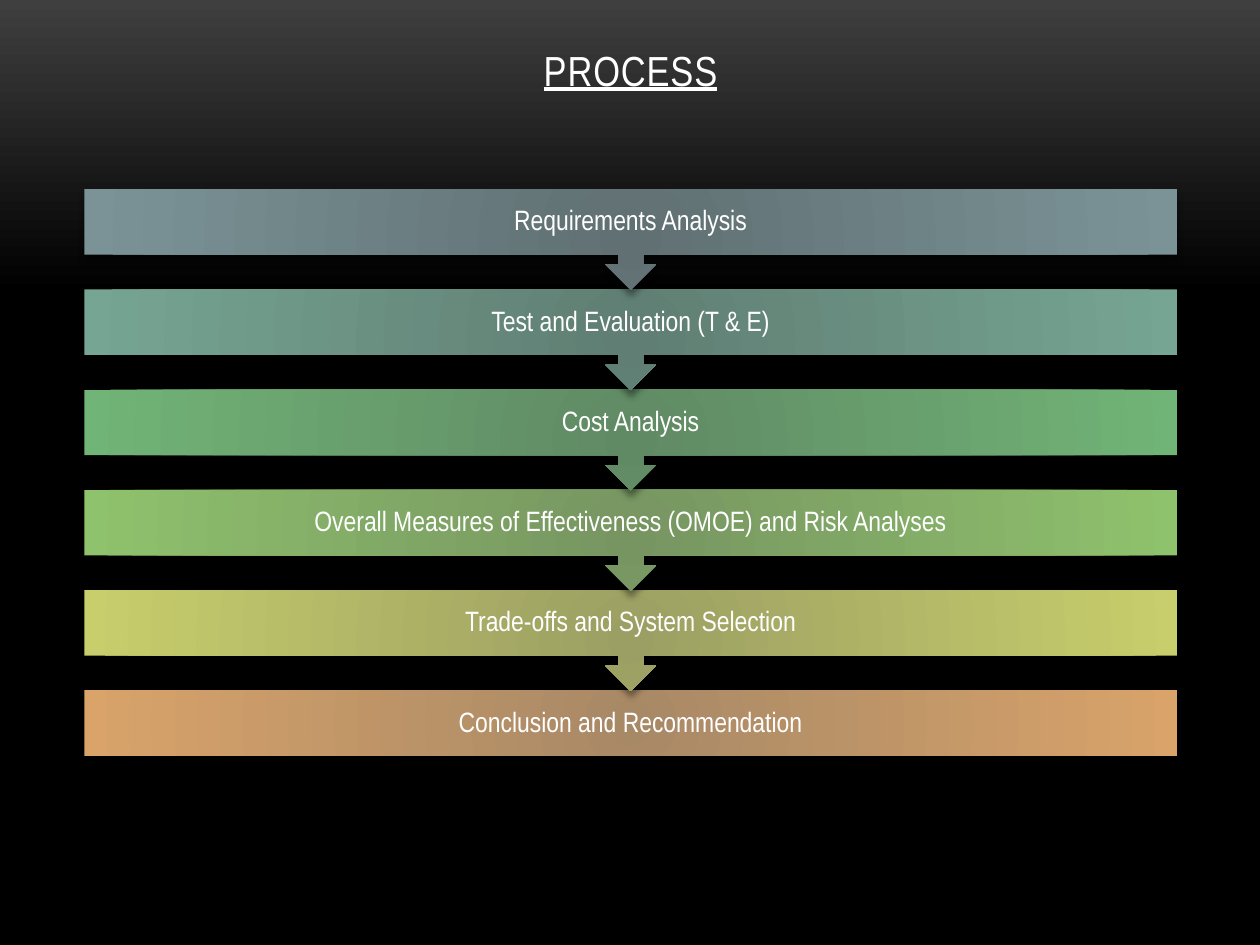
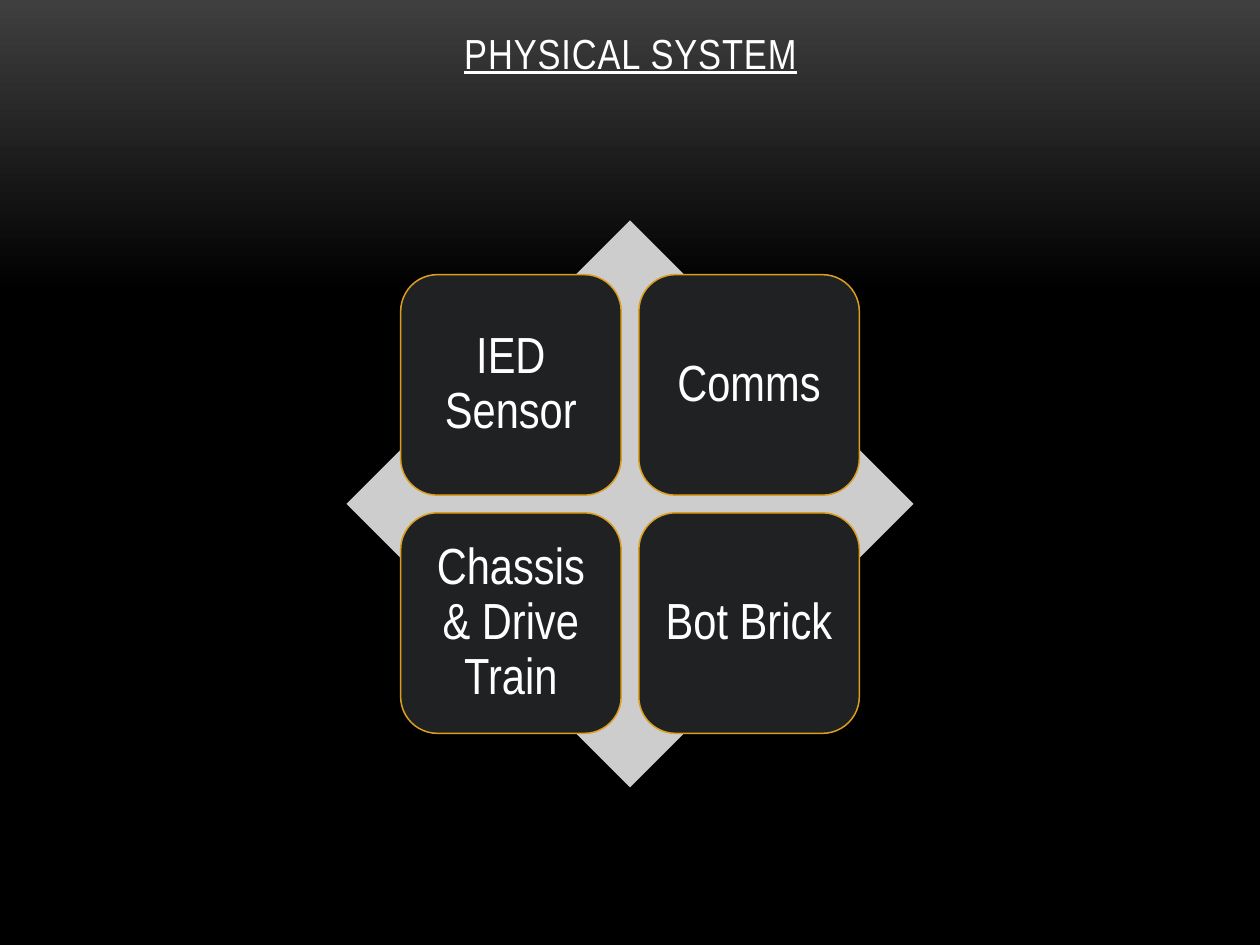
"""Builds two dark slides: the process steps and the physical system."""
from lxml import etree
from pptx import Presentation
from pptx.dml.color import RGBColor as RGB
from pptx.enum.shapes import MSO_SHAPE as Kind
from pptx.enum.text import MSO_ANCHOR as Anchor, PP_ALIGN as Align
from pptx.oxml import parse_xml
from pptx.oxml.ns import nsdecls, qn
from pptx.util import Inches, Pt

HUES = {
    "white": "FFFFFF", "black": "000000", "smoke": "3F3F3F",
    "diamond": "CDCDCD", "tile": "1F2123", "edge": "DC9E1F",
}
FONT = "Arial Narrow"
LEFT, WIDE = 0.67, 8.67


def write(slide, text, box, size, inset):
    frame = slide.shapes.add_textbox(*map(Inches, box)).text_frame
    frame.text = text
    frame.word_wrap = True
    frame.margin_left = frame.margin_right = Inches(inset)
    frame.margin_top = frame.margin_bottom = Inches(inset)
    frame.vertical_anchor = Anchor.MIDDLE
    para = frame.paragraphs[0]
    para.alignment = Align.CENTER
    para.line_spacing = 0.9
    font = para.runs[0].font
    font.name, font.size = FONT, Pt(size)
    font.color.rgb = RGB.from_string(HUES["white"])
    return frame


def blend(node, stops, way):
    marks = "".join(
        f'<a:gs pos="{at * 1000}"><a:srgbClr val="{hue}"/></a:gs>' for at, hue in stops)
    old = node.find(".//" + qn("a:solidFill"))
    old.getparent().replace(old, parse_xml(
        f'<a:gradFill {nsdecls("a")} rotWithShape="1"><a:gsLst>{marks}</a:gsLst>{way}</a:gradFill>'))


deck = Presentation()
deck.slide_width, deck.slide_height = Inches(10), Inches(7.5)

pages = []
for name, top, high in [("PROCESS", 0.3, 1.25), ("PHYSICAL SYSTEM", 0.17, 0.88)]:
    page = deck.slides.add_slide(deck.slide_layouts[6])
    page.background.fill.solid()
    blend(page.element, [(0, HUES["smoke"]), (31, HUES["black"]), (100, HUES["black"])],
          '<a:lin ang="5400000" scaled="0"/>')
    head = write(page, name, (LEFT, top, WIDE, high), 24, 0.05)
    head.vertical_anchor = Anchor.TOP
    head.paragraphs[0].line_spacing = 1.0
    font = head.paragraphs[0].runs[0].font
    font.underline = True
    head.paragraphs[0].runs[0].font._element.set("spc", "50")
    pages.append(page)
flow, system = pages

steps = [
    ("Requirements Analysis", "607073", "7B9397"),
    ("Test and Evaluation (T & E)", "607E73", "76A593"),
    ("Cost Analysis", "608A64", "71B477"),
    ("Overall Measures of Effectiveness (OMOE) and Risk Analyses", "779561", "8FC26D"),
    ("Trade-offs and System Selection", "9B9F63", "C8CE6B"),
    ("Conclusion and Recommendation", "A88966", "D9A36A"),
]
last = len(steps) - 1
first, pitch, bar = 1.5, 3.98 / last, 0.52
for row, (label, core, rim) in reversed(list(enumerate(steps))):
    top = first + row * pitch
    kind, high = (Kind.RECTANGLE, bar) if row == last else (Kind.UP_ARROW_CALLOUT, 0.8)
    step = flow.shapes.add_shape(kind, *map(Inches, (LEFT, top, WIDE, high)))
    step.rotation = 0 if row == last else 180
    step.fill.solid()
    step.fill.fore_color.rgb = RGB.from_string(core)
    blend(step.element, [(0, core), (100, rim)],
          '<a:path path="circle"><a:fillToRect l="100000" t="100000" r="100000" b="100000"/></a:path>')
    step.line.fill.background()
    step.shadow.inherit = False
    glow = etree.SubElement(
        step.element.find(".//" + qn("a:effectLst")), qn("a:outerShdw"),
        blurRad=str(Pt(4)), dist=str(Pt(3.4)), dir="5400000", rotWithShape="0")
    shade = etree.SubElement(glow, qn("a:srgbClr"), val=HUES["black"])
    etree.SubElement(shade, qn("a:alpha"), val="40000")
    write(flow, label, (LEFT, top, WIDE, bar), 16, 0.12)

gem = system.shapes.add_shape(Kind.DIAMOND, *map(Inches, (2.75, 1.75, 4.5, 4.5)))
gem.fill.solid()
gem.fill.fore_color.rgb = RGB.from_string(HUES["diamond"])
gem.line.fill.background()
gem.shadow.inherit = False

parts = ["IED Sensor", "Comms", "Chassis & Drive Train", "Bot Brick"]
side, gap, pad = 1.75, 0.14, 0.08
for spot, label in enumerate(parts):
    row, col = divmod(spot, 2)
    left = 3.18 + col * (side + gap)
    top = 2.18 + row * (side + gap)
    tile = system.shapes.add_shape(
        Kind.ROUNDED_RECTANGLE, *map(Inches, (left, top, side, side)))
    tile.fill.solid()
    tile.fill.fore_color.rgb = RGB.from_string(HUES["tile"])
    tile.line.color.rgb = RGB.from_string(HUES["edge"])
    tile.line.width = Pt(0.85)
    tile.shadow.inherit = False
    inner = side - 2 * pad
    write(system, label, (left + pad, top + pad, inner, inner), 29, 0.12)

deck.save("out.pptx")
